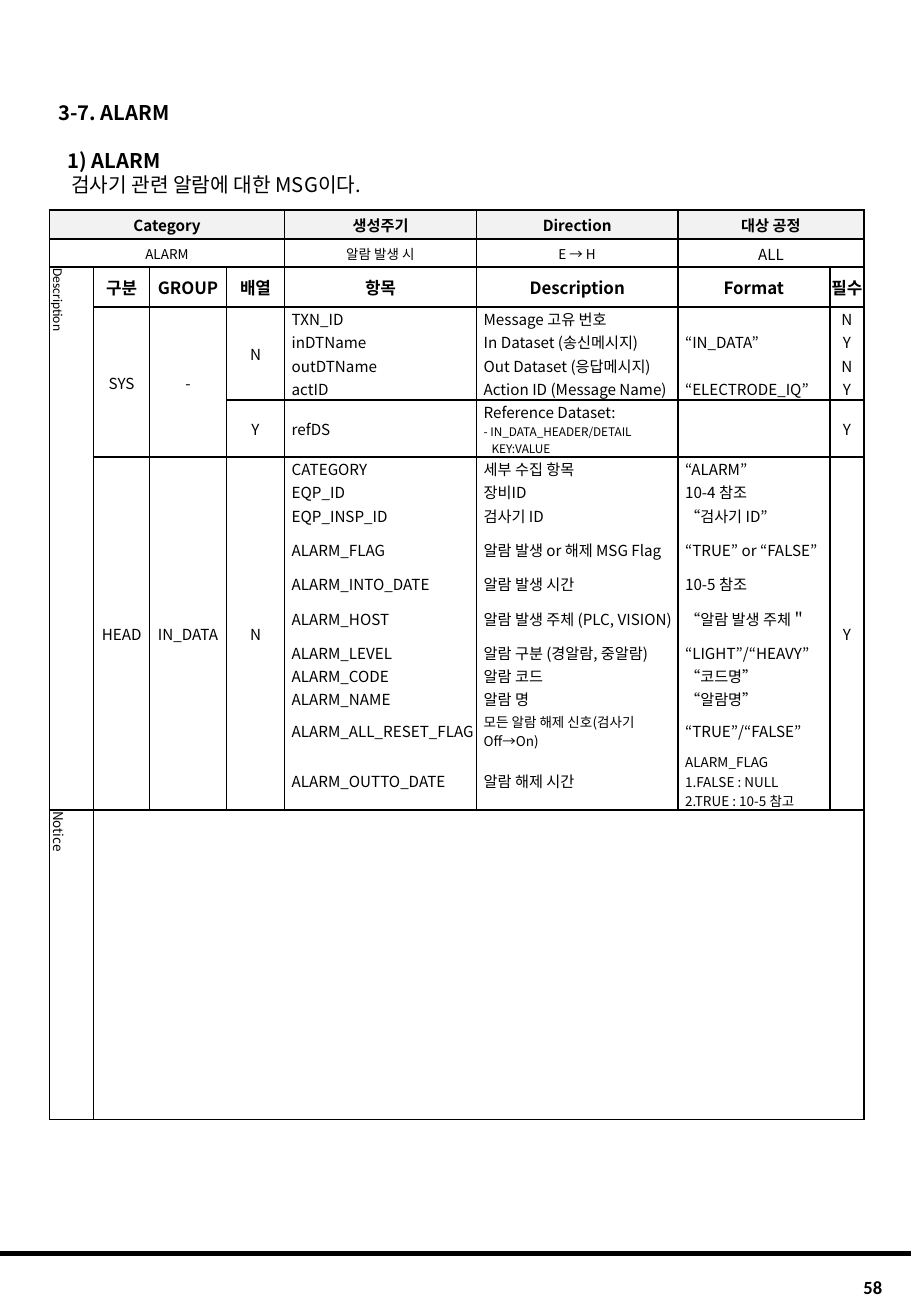
import pptx
import pptx.dml.color
import pptx.enum.shapes
import pptx.enum.text
import pptx.oxml.ns
import pptx.util
from dataclasses import dataclass
from lxml import etree

Pt = pptx.util.Pt
qn = pptx.oxml.ns.qn
ALIGN = pptx.enum.text.PP_ALIGN
MIDDLE = pptx.enum.text.MSO_ANCHOR.MIDDLE


@dataclass(frozen=True)
class Theme:
    ink: str = "000000"
    header_fill: str = "F2F2F2"
    font: str = "Noto Sans CJK KR"
    side_font: str = "Calibri"
    title: float = 12
    page: float = 11
    heading: float = 10
    body: float = 9
    small: float = 8
    tiny: float = 7
    grid: float = 1
    rule: float = 3


THEME = Theme()
NO_GRID_STYLE = "{2D5ABB26-0587-4C30-8999-92F81FD0307C}"
COLUMN_WIDTHS = [26.1, 33.2, 45.6, 34.4, 113.8, 119.4, 90.1, 20.2]
ONE_LINE, TWO_LINES = 13.78, 26.9
ROW_HEIGHTS = ([17.3, 16.6, 23.6] + [ONE_LINE] * 4 + [33.8] + [ONE_LINE] * 3
               + [TWO_LINES, ONE_LINE, TWO_LINES] + [ONE_LINE] * 3 + [23.9, 35.2, 183.6])

HEADER_ROWS = [
    ["Category", "", "", "", "생성주기", "Direction", "대상 공정", ""],
    ["ALARM", "", "", "", "알람 발생 시", "E → H", "ALL", ""],
    ["Description", "구분", "GROUP", "배열", "항목", "Description", "Format", "필수"],
]
SYS_FIELDS = [
    ["TXN_ID", "Message 고유 번호", "", "N"],
    ["inDTName", "In Dataset (송신메시지)", "“IN_DATA”", "Y"],
    ["outDTName", "Out Dataset (응답메시지)", "", "N"],
    ["actID", "Action ID (Message Name)", "“ELECTRODE_IQ”", "Y"],
    ["refDS", "Reference Dataset:\n- IN_DATA_HEADER/DETAIL\nKEY:VALUE", "", "Y"],
]
HEAD_FIELDS = [
    ["CATEGORY", "세부 수집 항목", "“ALARM”", "Y"],
    ["EQP_ID", "장비ID", "10-4 참조", ""],
    ["EQP_INSP_ID", "검사기 ID", "“검사기 ID”", ""],
    ["ALARM_FLAG", "알람 발생 or 해제 MSG Flag", "“TRUE” or “FALSE”", ""],
    ["ALARM_INTO_DATE", "알람 발생 시간", "10-5 참조", ""],
    ["ALARM_HOST", "알람 발생 주체 (PLC, VISION)", "“알람 발생 주체＂", ""],
    ["ALARM_LEVEL", "알람 구분 (경알람, 중알람)", "“LIGHT”/“HEAVY”", ""],
    ["ALARM_CODE", "알람 코드", "“코드명”", ""],
    ["ALARM_NAME", "알람 명", "“알람명”", ""],
    ["ALARM_ALL_RESET_FLAG", "모든 알람 해제 신호(검사기 Off→On)", "“TRUE”/“FALSE”", ""],
    ["ALARM_OUTTO_DATE", "알람 해제 시간", "ALARM_FLAG\n1.FALSE : NULL\n2.TRUE : 10-5 참고", ""],
]
GROUP_LABELS = {(3, 1): "SYS", (3, 2): "-", (3, 3): "N", (7, 3): "Y",
                (8, 1): "HEAD", (8, 2): "IN_DATA", (8, 3): "N", (19, 0): "Notice"}
MERGES = [(0, 0, 0, 3), (0, 6, 0, 7), (1, 0, 1, 3), (1, 6, 1, 7), (2, 0, 18, 0),
          (3, 1, 7, 1), (3, 2, 7, 2), (3, 3, 6, 3),
          (8, 1, 18, 1), (8, 2, 18, 2), (8, 3, 18, 3), (8, 7, 18, 7), (19, 1, 19, 7)]
FIELD_GROUPS = [(first, column, last, column)
                for first, last in ((3, 6), (8, 18)) for column in range(4, 8)]
SIDE_FONT_CELLS = [(2, 0), (2, 1)]
ROW_SIZES = {0: THEME.body, 1: THEME.small, 2: THEME.heading}
CELL_SIZES = {(1, 6): [THEME.body], (2, 0): [THEME.small], (19, 0): [THEME.small],
              (7, 5): [THEME.body, THEME.tiny, THEME.tiny],
              (17, 5): [THEME.small], (18, 6): [THEME.small] * 3}


def set_font(font, size, bold=False, name=THEME.font):
    font.size = Pt(size)
    font.bold = bold
    font.name = name
    font.color.rgb = pptx.dml.color.RGBColor.from_string(THEME.ink)


def write_paragraph(paragraph, text, size, bold=False, name=THEME.font, align=ALIGN.LEFT):
    paragraph.text = text
    paragraph.alignment = align
    for run in paragraph.runs:
        set_font(run.font, size, bold, name)
    if not paragraph.runs:
        end = etree.SubElement(paragraph._p, qn("a:endParaRPr"))
        end.set("sz", str(int(size * 100)))


def indent(paragraph, points):
    properties = paragraph._p.get_or_add_pPr()
    properties.set("marL", str(int(Pt(points))))
    properties.set("indent", "0")


def add_border(cell, side, visible):
    line = etree.SubElement(cell._tc.get_or_add_tcPr(), qn("a:ln" + side))
    line.set("w", str(int(Pt(THEME.grid))))
    if visible:
        fill = etree.SubElement(line, qn("a:solidFill"))
        etree.SubElement(fill, qn("a:srgbClr")).set("val", THEME.ink)
    else:
        etree.SubElement(line, qn("a:noFill"))


def region_of(row, column):
    for region in MERGES + FIELD_GROUPS:
        top, left, bottom, right = region
        if top <= row <= bottom and left <= column <= right:
            return region
    return row, column, row, column


def style_cell(cell, row, column):
    is_field = column in (4, 5, 6) and 3 <= row <= 18
    is_side = column == 0 and row >= 2
    cell.vertical_anchor = MIDDLE
    cell.margin_left = Pt(4.3 if is_field else 0.75)
    cell.margin_top = cell.margin_right = Pt(0.75)
    cell.margin_bottom = 0
    top, left, bottom, right = region_of(row, column)
    edges = {"L": column == left, "R": column == right, "T": row == top, "B": row == bottom}
    for side, at_edge in edges.items():
        add_border(cell, side, at_edge or cell.is_merge_origin)
    if row == 0:
        cell.fill.solid()
        cell.fill.fore_color.rgb = pptx.dml.color.RGBColor.from_string(THEME.header_fill)
    else:
        cell.fill.background()
    if is_side:
        cell._tc.get_or_add_tcPr().set("vert", "vert")
    return ALIGN.LEFT if is_field or is_side else ALIGN.CENTER


def table_texts():
    rows = HEADER_ROWS + [[""] * 4 + fields for fields in SYS_FIELDS + HEAD_FIELDS] + [[""] * 8]
    texts = {(r, c): text for r, row in enumerate(rows) for c, text in enumerate(row)}
    return texts | GROUP_LABELS


def add_message_table(slide, left, top):
    frame = slide.shapes.add_table(len(ROW_HEIGHTS), len(COLUMN_WIDTHS), Pt(left), Pt(top),
                                   Pt(sum(COLUMN_WIDTHS)), Pt(sum(ROW_HEIGHTS)))
    table = frame.table
    table.first_row = table.horz_banding = False
    table._tbl.tblPr.find(qn("a:tableStyleId")).text = NO_GRID_STYLE
    for column, width in zip(table.columns, COLUMN_WIDTHS):
        column.width = Pt(width)
    for row, height in zip(table.rows, ROW_HEIGHTS):
        row.height = Pt(height)
    for first_row, first_column, last_row, last_column in MERGES:
        table.cell(first_row, first_column).merge(table.cell(last_row, last_column))
    for (row, column), text in table_texts().items():
        cell = table.cell(row, column)
        align = style_cell(cell, row, column)
        name = THEME.side_font if (row, column) in SIDE_FONT_CELLS else THEME.font
        bold = row == 0 or (row == 2 and column > 0)
        cell.text_frame.text = text
        sizes = CELL_SIZES.get((row, column), [ROW_SIZES.get(row, THEME.body)])
        for paragraph, line, size in zip(cell.text_frame.paragraphs, text.split("\n"), sizes):
            write_paragraph(paragraph, line, size, bold, name, align)
    indent(table.cell(7, 5).text_frame.paragraphs[2], 4.7)


def add_heading(slide, left, top, width, height):
    text_frame = slide.shapes.add_textbox(Pt(left), Pt(top), Pt(width), Pt(height)).text_frame
    text_frame.word_wrap = True
    text_frame.margin_left = text_frame.margin_right = 0
    text_frame.margin_top = text_frame.margin_bottom = 0
    lines = [("3-7. ALARM", 5.8, 0, True), ("1) ALARM", 11.3, 14.3, True),
             ("검사기 관련 알람에 대한 MSG이다.", 13.4, 0, False)]
    text_frame.text = "\n".join(line[0] for line in lines)
    for paragraph, (text, offset, gap, bold) in zip(text_frame.paragraphs, lines):
        write_paragraph(paragraph, text, THEME.title, bold)
        paragraph.line_spacing = Pt(14.3)
        paragraph.space_before = Pt(gap)
        indent(paragraph, offset)


def add_footer(slide, left, top, width):
    line = slide.shapes.add_connector(pptx.enum.shapes.MSO_CONNECTOR.STRAIGHT,
                                      Pt(left), Pt(top), Pt(left + width), Pt(top))
    line.line.width = Pt(THEME.rule)
    line.line.color.rgb = pptx.dml.color.RGBColor.from_string(THEME.ink)
    etree.SubElement(line._element.spPr, qn("a:effectLst"))
    box = slide.shapes.add_textbox(Pt(left + width - 95), Pt(top + 10), Pt(85), Pt(20))
    box.text_frame.word_wrap = True
    box.text_frame.vertical_anchor = MIDDLE
    write_paragraph(box.text_frame.paragraphs[0], "58", THEME.page, True,
                    THEME.side_font, ALIGN.RIGHT)


def main():
    presentation = pptx.Presentation()
    presentation.slide_width = Pt(540)
    presentation.slide_height = Pt(780)
    slide = presentation.slides.add_slide(presentation.slide_layouts[6])
    add_footer(slide, 0, 743, 540)
    add_message_table(slide, 29.4, 124.4)
    add_heading(slide, 28.8, 59.5, 481.7, 58.3)
    presentation.save("out.pptx")


if __name__ == "__main__":
    main()
